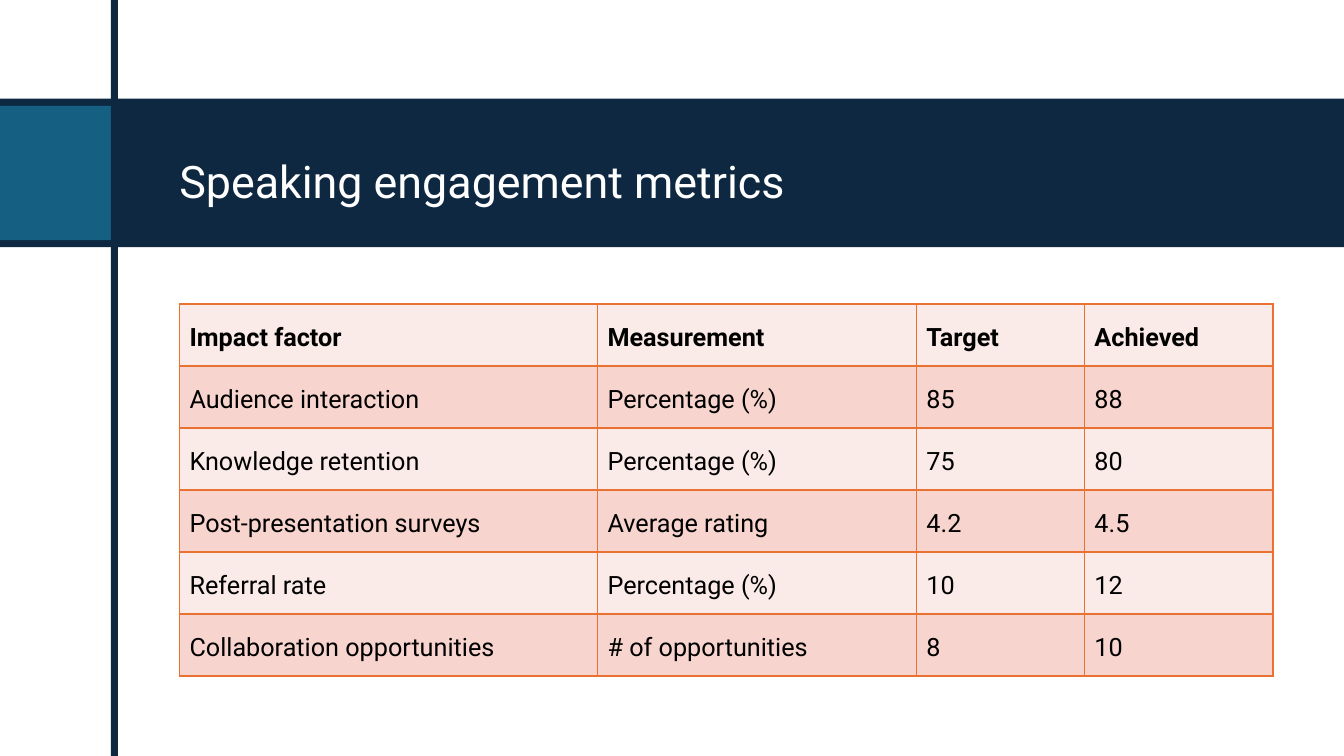
from typing import NamedTuple

from lxml.etree import SubElement
from pptx import Presentation
from pptx.dml.color import RGBColor
from pptx.enum.shapes import MSO_SHAPE
from pptx.enum.text import MSO_ANCHOR
from pptx.oxml.ns import qn
from pptx.util import Pt

NAVY = RGBColor(0x0E, 0x28, 0x41)
TEAL = RGBColor(0x15, 0x60, 0x82)
WHITE = RGBColor(0xFF, 0xFF, 0xFF)
BLACK = RGBColor(0x00, 0x00, 0x00)
ORANGE = RGBColor(0xE9, 0x71, 0x32)
PALE = RGBColor(0xFB, 0xEB, 0xE8)
PINK = RGBColor(0xF7, 0xD5, 0xCE)
FONT = "Roboto"


class Box(NamedTuple):
    left: float
    top: float
    width: float
    height: float


class Band(NamedTuple):
    box: Box
    color: RGBColor


BANDS = [
    Band(Box(0, 70.5, 960, 106), NAVY),
    Band(Box(0, 75.6, 79.2, 96), TEAL),
    Band(Box(79.3, 0, 5, 540), NAVY),
]
TITLE_BOX = Box(121, 75.6, 788.4, 96)
TABLE_BOX = Box(128.2, 217.2, 781.2, 265.8)
COLUMN_WIDTHS = [298.6, 227.8, 120, 134.8]
METRICS = [
    ["Impact factor", "Measurement", "Target", "Achieved"],
    ["Audience interaction", "Percentage (%)", "85", "88"],
    ["Knowledge retention", "Percentage (%)", "75", "80"],
    ["Post-presentation surveys", "Average rating", "4.2", "4.5"],
    ["Referral rate", "Percentage (%)", "10", "12"],
    ["Collaboration opportunities", "# of opportunities", "8", "10"],
]


def in_points(box: Box) -> list[Pt]:
    return [Pt(length) for length in box]


def set_text(tf, text: str, size: float, color: RGBColor, bold: bool = False) -> None:
    tf.text = text
    font = tf.paragraphs[0].runs[0].font
    font.name, font.size, font.bold = FONT, Pt(size), bold
    font.color.rgb = color


def set_margins(target, top: float) -> None:
    """Set the insets of a text frame or a table cell; only the top one varies."""
    target.margin_left = target.margin_right = Pt(7.2)
    target.margin_top, target.margin_bottom = Pt(top), Pt(3.6)
    target.vertical_anchor = MSO_ANCHOR.MIDDLE


def add_band(slide, band: Band) -> None:
    sp = slide.shapes.add_shape(MSO_SHAPE.RECTANGLE, *in_points(band.box))
    sp.shadow.inherit = False
    sp.fill.solid()
    sp.fill.fore_color.rgb = band.color
    sp.line.fill.background()


def add_title(slide, text: str) -> None:
    tf = slide.shapes.add_textbox(*in_points(TITLE_BOX)).text_frame
    tf.word_wrap = True
    set_margins(tf, top=14.4)
    set_text(tf, text, 32, WHITE)


def add_borders(cell) -> None:
    tc_pr = cell._tc.get_or_add_tcPr()
    for side in ("lnL", "lnR", "lnT", "lnB"):
        line = SubElement(tc_pr, qn(f"a:{side}"), w=str(Pt(1)))
        fill = SubElement(line, qn("a:solidFill"))
        SubElement(fill, qn("a:srgbClr"), val=str(ORANGE))


def add_metrics_table(slide) -> None:
    table = slide.shapes.add_table(
        len(METRICS), len(COLUMN_WIDTHS), *in_points(TABLE_BOX)
    ).table
    for column, width in zip(table.columns, COLUMN_WIDTHS):
        column.width = Pt(width)
    for i, metric in enumerate(METRICS):
        table.rows[i].height = Pt(TABLE_BOX.height / len(METRICS))
        for j, text in enumerate(metric):
            cell = table.cell(i, j)
            set_margins(cell, top=7.2)
            set_text(cell.text_frame, text, 18, BLACK, bold=i == 0)
            add_borders(cell)
            cell.fill.solid()
            cell.fill.fore_color.rgb = PINK if i % 2 else PALE


def main() -> None:
    prs = Presentation()
    prs.slide_width, prs.slide_height = Pt(960), Pt(540)
    slide = prs.slides.add_slide(prs.slide_layouts[6])
    for band in BANDS:
        add_band(slide, band)
    add_title(slide, "Speaking engagement metrics")
    add_metrics_table(slide)
    prs.save("out.pptx")


if __name__ == "__main__":
    main()
